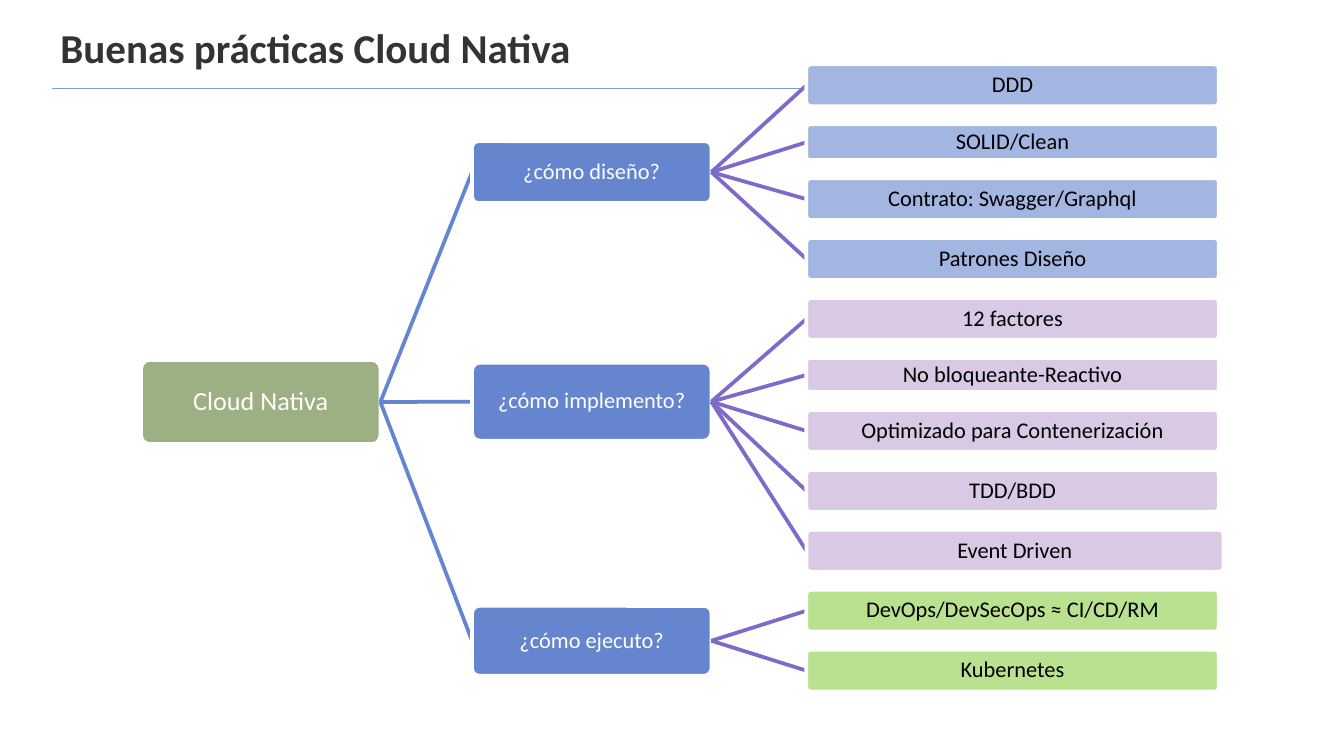
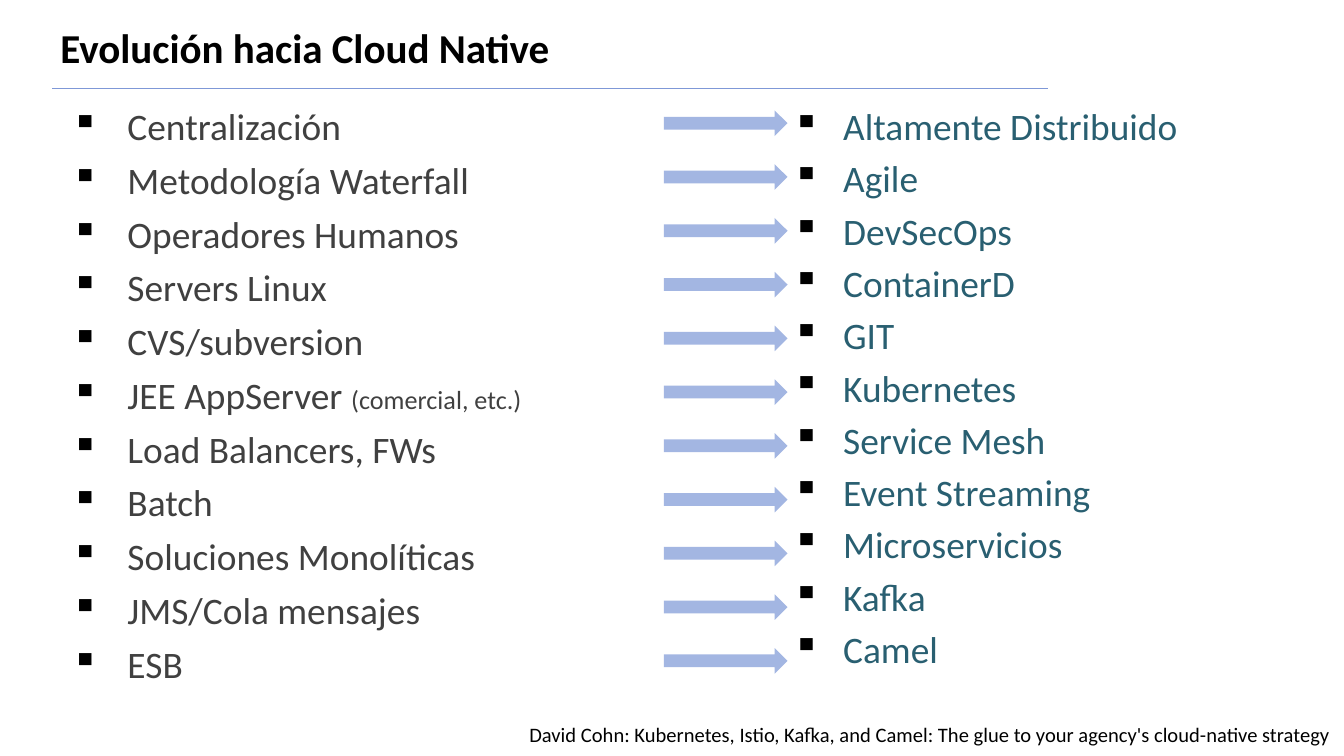
from lxml import etree
from pptx import Presentation
from pptx.dml.color import RGBColor
from pptx.enum import shapes, text
from pptx.oxml.ns import qn
from pptx.util import Pt

FONT = "Calibri"
BLACK = RGBColor(0x00, 0x00, 0x00)
WHITE = RGBColor(0xFF, 0xFF, 0xFF)
CHARCOAL = RGBColor(0x33, 0x33, 0x33)
GREY = RGBColor(0x40, 0x40, 0x40)
TEAL = RGBColor(0x29, 0x5F, 0x71)
RULE = RGBColor(0x7F, 0x98, 0xD7)
SAGE = RGBColor(0x9C, 0xB0, 0x84)
BLUE = RGBColor(0x65, 0x85, 0xCF)
PURPLE = RGBColor(0x7E, 0x6B, 0xC9)
LIGHT_BLUE = RGBColor(0xA3, 0xB6, 0xE2)
LILAC = RGBColor(0xDA, 0xC9, 0xE4)
LIME = RGBColor(0xBA, 0xE1, 0x8F)

# Tree: (question, centre y, height, leaf colour, leaves)
ROOT = "Cloud Nativa"
BRANCHES = [
    ("¿cómo diseño?", 92.2, 33.1, LIGHT_BLUE,
     ["DDD", "SOLID/Clean", "Contrato: Swagger/Graphql", "Patrones Diseño"]),
    ("¿cómo implemento?", 215.2, 41.8, LILAC,
     ["12 factores", "No bloqueante-Reactivo", "Optimizado para Contenerización",
      "TDD/BDD", "Event Driven"]),
    ("¿cómo ejecuto?", 343.3, 37.4, LIME,
     ["DevOps/DevSecOps ≈ CI/CD/RM", "Kubernetes"]),
]
ROOT_X, BRANCH_X, LEAF_X = 75.6, 252.9, 432
ROOT_Y, ROOT_H = 215.4, 45
NODE_W, LEAF_W, LEAF_H = 128.2, 221, 22.4
LEAF_TOP, LEAF_GAP = 34.5, 9.7
LEAF_HEIGHTS = {"SOLID/Clean": 19.2, "No bloqueante-Reactivo": 18.2}
LEAF_WIDTHS = {"Event Driven": 223.4}

# Evolution: each item is a list of (text, size) runs or a plain string
BEFORE = [
    "Centralización", "Metodología Waterfall", "Operadores Humanos", "Servers Linux",
    "CVS/subversion", [("JEE AppServer ", 20), ("(comercial, etc.)", 14)],
    "Load Balancers, FWs", "Batch", "Soluciones Monolíticas", "JMS/Cola mensajes", "ESB",
]
AFTER = [
    "Altamente Distribuido", "Agile", "DevSecOps", "ContainerD", "GIT", "Kubernetes",
    "Service Mesh", "Event Streaming", "Microservicios", "Kafka", "Camel",
]
SOURCE = ("David Cohn: Kubernetes, Istio, Kafka, and Camel: "
          "The glue to your agency's cloud-native strategy")
ARROW_TOP, ARROW_PITCH = 59.2, 28.8


def add_run(p, content, size=12, color=BLACK, bold=False):
    r = p.add_run()
    r.text = content
    r.font.name, r.font.size, r.font.bold = FONT, Pt(size), bold
    r.font.color.rgb = color


def add_line(s, x1, y1, x2, y2, color, width):
    line = s.shapes.add_connector(shapes.MSO_CONNECTOR.STRAIGHT,
                                  Pt(x1), Pt(y1), Pt(x2), Pt(y2))
    line.line.color.rgb, line.line.width = color, Pt(width)
    etree.SubElement(line._element.spPr, qn("a:effectLst"))


def add_slide(prs, title, color):
    s = prs.slides.add_slide(prs.slide_layouts[5])
    add_line(s, 28.1, 47.4, 561.6, 47.4, RULE, 1)
    sp = s.shapes.title
    sp.left, sp.top, sp.width, sp.height = Pt(25.2), Pt(10.8), Pt(545), Pt(28.8)
    tf = sp.text_frame
    tf.auto_size = text.MSO_AUTO_SIZE.NONE
    tf.vertical_anchor = text.MSO_ANCHOR.MIDDLE
    tf.paragraphs[0].alignment = text.PP_ALIGN.LEFT
    add_run(tf.paragraphs[0], title, size=22, color=color, bold=True)
    return s


def add_node(s, label, x, center, w, h, fill, size=12, color=BLACK):
    sp = s.shapes.add_shape(shapes.MSO_SHAPE.ROUNDED_RECTANGLE,
                            Pt(x), Pt(center - h / 2), Pt(w), Pt(h))
    sp.adjustments[0] = 0.1
    sp.shadow.inherit = False
    sp.fill.solid()
    sp.fill.fore_color.rgb = fill
    sp.line.color.rgb, sp.line.width = WHITE, Pt(2)
    tf = sp.text_frame
    tf.word_wrap = True
    tf.margin_left = tf.margin_right = tf.margin_top = tf.margin_bottom = Pt(0.7)
    tf.vertical_anchor = text.MSO_ANCHOR.MIDDLE
    p = tf.paragraphs[0]
    p.alignment, p.line_spacing = text.PP_ALIGN.CENTER, 0.9
    add_run(p, label, size=size, color=color)


def add_text_box(s, x, y, w, h):
    tf = s.shapes.add_textbox(Pt(x), Pt(y), Pt(w), Pt(h)).text_frame
    tf.word_wrap = True
    return tf


def add_bullets(s, items, x, w, color, margin, hanging, gap):
    tf = add_text_box(s, x, 51.8, w, 327.6)
    for i, item in enumerate(items):
        p = tf.add_paragraph() if i else tf.paragraphs[0]
        pPr = p._p.get_or_add_pPr()
        pPr.set("marL", str(Pt(margin)))
        pPr.set("indent", str(-Pt(hanging)))
        bullet_color = etree.SubElement(pPr, qn("a:buClr"))
        etree.SubElement(bullet_color, qn("a:srgbClr"), val=str(BLACK))
        etree.SubElement(pPr, qn("a:buChar"), char="▪")
        if i:
            p.space_before = Pt(gap)
        for content, size in [(item, 20)] if isinstance(item, str) else item:
            add_run(p, content, size=size, color=color)


def build_practices(prs):
    s = add_slide(prs, "Buenas prácticas Cloud Nativa", CHARCOAL)
    add_node(s, ROOT, ROOT_X, ROOT_Y, NODE_W, ROOT_H, SAGE, size=14, color=WHITE)
    leaf_top = LEAF_TOP
    for question, center, height, fill, leaves in BRANCHES:
        add_line(s, ROOT_X + NODE_W, ROOT_Y, BRANCH_X, center, BLUE, 2)
        add_node(s, question, BRANCH_X, center, NODE_W, height, BLUE, color=WHITE)
        for leaf in leaves:
            h = LEAF_HEIGHTS.get(leaf, LEAF_H)
            leaf_center = leaf_top + h / 2
            add_line(s, BRANCH_X + NODE_W, center, LEAF_X, leaf_center, PURPLE, 2)
            add_node(s, leaf, LEAF_X, leaf_center, LEAF_WIDTHS.get(leaf, LEAF_W), h, fill)
            leaf_top += h + LEAF_GAP


def build_evolution(prs):
    s = add_slide(prs, "Evolución hacia Cloud Native", BLACK)
    tf = add_text_box(s, 185, 383, 535, 20.9)
    tf.paragraphs[0].alignment = text.PP_ALIGN.RIGHT
    add_run(tf.paragraphs[0], SOURCE, size=11)
    add_bullets(s, BEFORE, 25.2, 334.8, GREY, margin=36, hanging=30, gap=4.8)
    add_bullets(s, AFTER, 417.6, 289.4, TEAL, margin=27, hanging=27, gap=4)
    for i in range(len(BEFORE)):
        sp = s.shapes.add_shape(shapes.MSO_SHAPE.RIGHT_ARROW, Pt(355.7),
                                Pt(ARROW_TOP + i * ARROW_PITCH), Pt(66.2), Pt(13.7))
        sp.shadow.inherit = False
        sp.fill.solid()
        sp.fill.fore_color.rgb = LIGHT_BLUE
        sp.line.fill.background()


def main():
    prs = Presentation()
    prs.slide_width, prs.slide_height = Pt(720), Pt(405)
    build_practices(prs)
    build_evolution(prs)
    prs.save("out.pptx")


if __name__ == "__main__":
    main()
